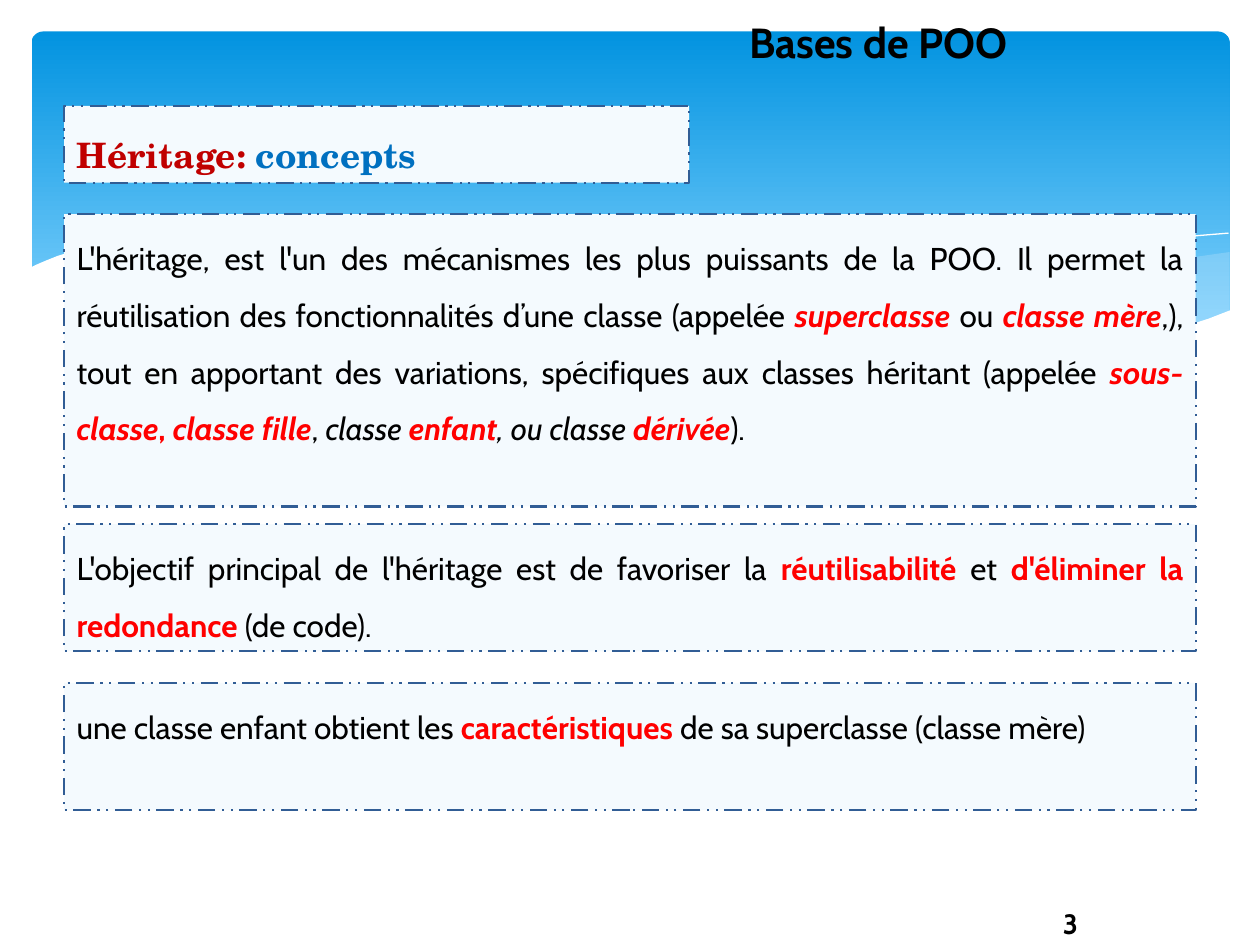
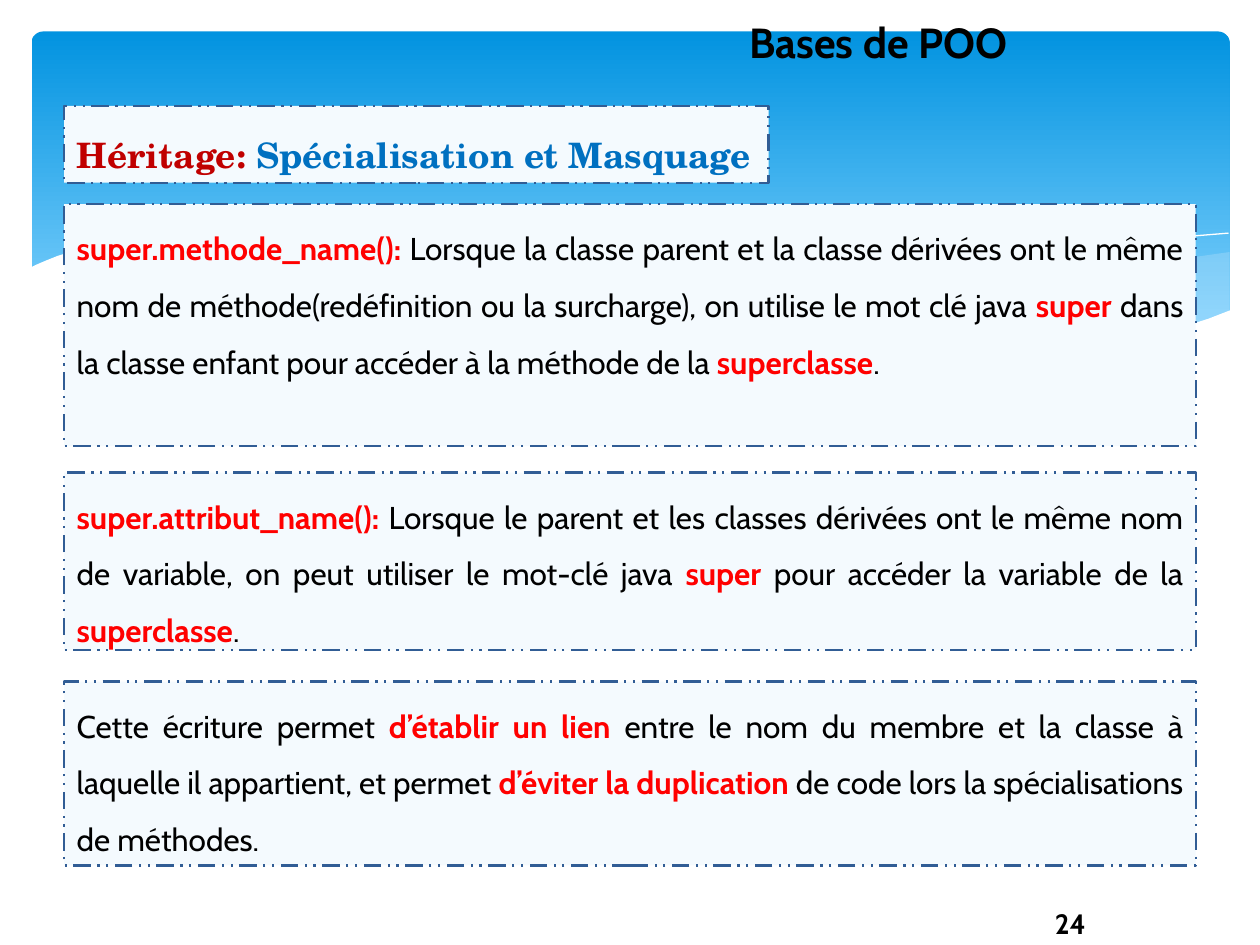
from dataclasses import dataclass

from lxml import etree
from pptx import Presentation
from pptx.dml.color import RGBColor
from pptx.enum.dml import MSO_LINE
from pptx.enum.shapes import MSO_SHAPE
from pptx.enum.text import MSO_ANCHOR, MSO_AUTO_SIZE, PP_ALIGN
from pptx.oxml.ns import qn
from pptx.util import Inches, Pt

RECT, ROUNDED = MSO_SHAPE.RECTANGLE, MSO_SHAPE.ROUNDED_RECTANGLE
DASH = MSO_LINE.DASH_DOT_DOT
TOP, MIDDLE = MSO_ANCHOR.TOP, MSO_ANCHOR.MIDDLE
CENTER, JUSTIFY = PP_ALIGN.CENTER, PP_ALIGN.JUSTIFY
NO_AUTOFIT = MSO_AUTO_SIZE.NONE
TITLE_ONLY = 5


@dataclass(frozen=True)
class Theme:
    font: str = "Cabin"
    heading_font: str = "TeX Gyre Schola"
    title_size: int = 24
    heading_size: int = 20
    body_size: int = 18
    number_size: int = 16
    black: str = "000000"
    white: str = "FFFFFF"
    red: str = "FF0000"
    dark_red: str = "C00000"
    blue: str = "0070C0"
    panel: str = "F4FAFE"
    border: str = "315D95"
    sky_top: str = "0293E0"
    sky_bottom: str = "83D3FE"
    veil: str = "C6E7FC"


T = Theme()

# Run styles: colour, bold, italic
STYLES = {
    "plain": (T.black, False, False),
    "strong": (T.black, True, False),
    "soft": (T.black, False, True),
    "key": (T.red, True, False),
    "term": (T.red, True, True),
    "topic": (T.dark_red, True, False),
    "subtopic": (T.blue, True, False),
}

# Wave outlines, in hundredths of an inch
VEIL = [(976, 200), (948, 204), (921, 210), (891, 216), (861, 223), (805, 237),
        (753, 248), (706, 257), (661, 265), (691, 269), (719, 272), (745, 275),
        (769, 277), (803, 278), (835, 277), (863, 275), (889, 272), (913, 267),
        (935, 262), (949, 257), (963, 252), (976, 247)]
CREST = [(613, 257), (653, 246), (695, 235), (748, 223), (806, 210), (866, 199),
         (895, 194), (924, 190), (951, 187), (975, 185)]
WAVE = [(977, 246), (959, 253), (940, 259), (920, 265), (899, 269), (875, 273),
        (850, 275), (823, 277), (793, 276), (761, 275), (726, 272), (688, 268),
        (648, 262), (603, 254), (555, 245), (503, 233), (447, 220), (391, 207),
        (340, 197), (292, 190), (250, 186), (211, 184), (177, 184), (146, 185),
        (119, 187), (95, 191), (76, 195), (59, 199), (46, 203), (36, 207),
        (29, 210), (23, 213), (23, 329), (977, 329)]

LEFT, PANEL_WIDTH = 0.51, 8.98
HEADING_TOP, HEADING_HEIGHT = 0.84, 0.61


def rgb(value):
    return RGBColor.from_string(value)


def paint(s, color):
    s.shadow.inherit = False
    s.fill.solid()
    s.fill.fore_color.rgb = rgb(color)


def write(s, runs, size, font=T.font, align=CENTER, anchor=TOP, spacing=1.0):
    """Fill a shape with one paragraph of (text, style) runs."""
    tf = s.text_frame
    tf.word_wrap = True
    tf.auto_size = NO_AUTOFIT
    tf.vertical_anchor = anchor
    p = tf.paragraphs[0]
    p.alignment, p.line_spacing = align, spacing
    for text, style in runs:
        r = p.add_run()
        r.text = text
        color, r.font.bold, r.font.italic = STYLES[style]
        r.font.color.rgb = rgb(color)
        r.font.name, r.font.size = font, Pt(size)


def add_outline(slide, points, closed=True):
    builder = slide.shapes.build_freeform(*points[0], scale=Inches(0.01))
    builder.add_line_segments(points[1:], close=closed)
    s = builder.convert_to_shape()
    s.shadow.inherit = False
    return s


def add_sky(slide):
    s = slide.shapes.add_shape(ROUNDED, Inches(0.25), Inches(0.25), Inches(9.51), Inches(2.7))
    s.adjustments[0] = 0.034
    s.shadow.inherit = False
    s.line.fill.background()
    s.fill.gradient()
    s.fill.gradient_angle = 270
    for stop, color, position in zip(s.fill.gradient_stops, (T.sky_top, T.sky_bottom), (0, 0.9)):
        stop.color.rgb = rgb(color)
        stop.position = position
    return s


def add_waves(slide):
    veil, crest, wave = (add_outline(slide, VEIL), add_outline(slide, CREST, closed=False),
                         add_outline(slide, WAVE))
    for s, color in ((veil, T.veil), (wave, T.white)):
        paint(s, color)
        s.line.fill.background()
    tint = veil.element.spPr.find(qn("a:solidFill"))[0]
    etree.SubElement(tint, qn("a:alpha")).set("val", "29000")
    crest.fill.background()
    crest.line.color.rgb = rgb(T.white)
    crest.line.width = Pt(0)
    return [veil, crest, wave]


def move_to_layout(layout, shapes):
    """Share the backdrop: every slide of the layout then shows it."""
    for s in shapes:
        layout.element.cSld.spTree.append(s.element)


def add_title(slide, text):
    s = slide.shapes.title
    s.left, s.top, s.width, s.height = Inches(5.08), Inches(0.13), Inches(3.78), Inches(0.46)
    write(s, [(text, "strong")], T.title_size, spacing=0.9)


def add_number(slide, number):
    s = slide.shapes.add_textbox(Inches(7.33), Inches(7.13), Inches(2.33), Inches(0.4))
    write(s, [(str(number), "strong")], T.number_size, anchor=MIDDLE)


def add_panel(slide, top, width, height, runs, size=T.body_size, font=T.font):
    s = slide.shapes.add_shape(RECT, Inches(LEFT), Inches(top), Inches(width), Inches(height))
    paint(s, T.panel)
    s.line.color.rgb = rgb(T.border)
    s.line.width = Pt(1.25)
    s.line.dash_style = DASH
    write(s, runs, size, font, JUSTIFY, spacing=1.5)


def fill_slide(slide, number, subtopic, heading_width, panels):
    add_title(slide, "Bases de POO")
    add_panel(slide, HEADING_TOP, heading_width, HEADING_HEIGHT,
              [("Héritage: ", "topic"), (subtopic, "subtopic")],
              T.heading_size, T.heading_font)
    for top, height, runs in panels:
        add_panel(slide, top, PANEL_WIDTH, height, runs)
    add_number(slide, number)


# Panels: top, height, runs
CONCEPTS = [
    (1.7, 2.32, [
        ("L'héritage, est l'un des mécanismes les plus puissants de la POO. Il permet la "
         "réutilisation des fonctionnalités d’une classe (appelée ", "plain"),
        ("superclasse ", "term"), ("ou ", "plain"), ("classe mère", "term"),
        (",), tout en apportant des variations, spécifiques aux classes héritant (appelée ",
         "plain"),
        ("sous-classe", "term"), (", ", "key"), ("classe fille", "term"), (", ", "plain"),
        ("classe ", "soft"), ("enfant", "term"), (", ou classe ", "soft"),
        ("dérivée", "term"), (").", "plain")]),
    (4.16, 1.01, [
        ("L'objectif principal de l'héritage est de favoriser la ", "plain"),
        ("réutilisabilité", "key"), (" et ", "plain"),
        ("d'éliminer la redondance ", "key"), ("(de code).", "plain")]),
    (5.42, 1.01, [
        ("une classe enfant obtient les ", "plain"), ("caractéristiques", "key"),
        (" de sa superclasse (classe mère)", "plain")]),
]

MASKING = [
    (1.62, 1.92, [
        ("super.methode_name(): ", "key"),
        ("Lorsque la classe parent et la classe dérivées ont le même nom de "
         "méthode(redéfinition ou la surcharge), on utilise le mot clé java ", "plain"),
        ("super", "key"),
        (" dans la classe enfant pour accéder à la méthode de la ", "plain"),
        ("superclasse", "key"), (".", "plain")]),
    (3.75, 1.41, [
        ("super.attribut_name(): ", "key"),
        ("Lorsque le parent et les classes dérivées ont le même nom de variable, on peut "
         "utiliser le mot-clé java ", "plain"),
        ("super", "key"), (" pour accéder la variable de la ", "plain"),
        ("superclasse", "key"), (".", "plain")]),
    (5.41, 1.46, [
        ("Cette écriture permet ", "plain"), ("d’établir un lien", "key"),
        (" entre le nom du membre et la classe à laquelle il appartient, et permet ", "plain"),
        ("d’éviter la duplication ", "key"),
        ("de code lors la spécialisations de méthodes.", "plain")]),
]


def main():
    prs = Presentation()
    prs.slide_width, prs.slide_height = Inches(10), Inches(7.5)
    layout = prs.slide_layouts[TITLE_ONLY]
    concepts, masking = (prs.slides.add_slide(layout) for _ in range(2))

    # Shared backdrop
    move_to_layout(layout, [add_sky(concepts), *add_waves(concepts)])

    # Slide contents
    fill_slide(concepts, 3, "concepts", 4.96, CONCEPTS)
    fill_slide(masking, 24, "Spécialisation et Masquage", 5.59, MASKING)
    prs.save("out.pptx")


if __name__ == "__main__":
    main()
